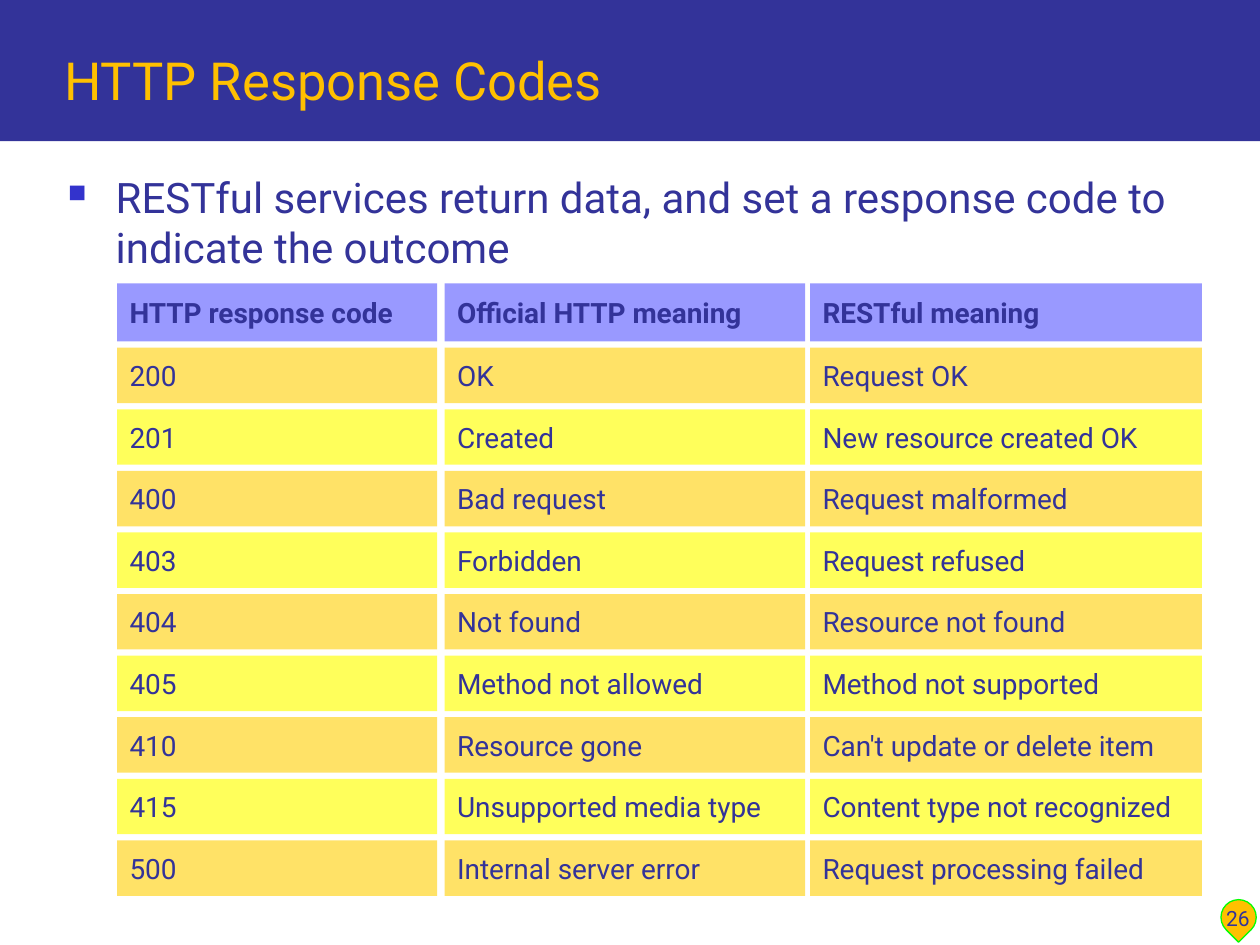
"""Build the HTTP Response Codes slide with its grid of codes and meanings."""
import pptx
import pptx.dml.color
import pptx.enum.shapes
import pptx.enum.text
import pptx.oxml
import pptx.oxml.ns
import pptx.util

Inches = pptx.util.Inches
SHAPES = pptx.enum.shapes.MSO_SHAPE
ALIGN = pptx.enum.text.PP_ALIGN
ANCHOR = pptx.enum.text.MSO_ANCHOR
NAVY, GOLD = "333399", "FFC000"


def paint(target, colour):
    """Give a fill or a font a solid colour from a hex string."""
    if hasattr(target, "solid"):
        target.solid()
    colour_format = target.fore_color if hasattr(target, "fore_color") else target.color
    colour_format.rgb = pptx.dml.color.RGBColor.from_string(colour)


def write(shape, text, size, colour=NAVY, anchor=ANCHOR.MIDDLE, align=ALIGN.LEFT, bold=False):
    """Set the text of a shape and return its paragraph."""
    frame = shape.text_frame
    frame.text = text
    frame.word_wrap = True
    frame.auto_size = pptx.enum.text.MSO_AUTO_SIZE.NONE
    frame.vertical_anchor = anchor
    paragraph = frame.paragraphs[0]
    paragraph.alignment = align
    paragraph.font.name = "Roboto"
    paragraph.font.size = pptx.util.Pt(size)
    paragraph.font.bold = bold
    paint(paragraph.font, colour)
    return paragraph


presentation = pptx.Presentation()
presentation.slide_width, presentation.slide_height = Inches(10), Inches(7.5)
slide = presentation.slides.add_slide(presentation.slide_layouts[5])
shapes = slide.shapes

banner = shapes.add_shape(SHAPES.RECTANGLE, 0, 0, presentation.slide_width, Inches(1.12))
banner.shadow.inherit = False
paint(banner.fill, NAVY)
banner.line.fill.background()
shapes.title._element.addprevious(banner._element)

title = shapes.title
title.left, title.top, title.width, title.height = map(Inches, (0.41, 0.17, 9.35, 0.76))
write(title, "HTTP Response Codes", 30, GOLD, ANCHOR.BOTTOM)

page_marker = shapes.add_shape(SHAPES.TEAR, *map(Inches, (9.69, 7.14, 0.28, 0.28)))
page_marker.rotation = 135
page_marker.shadow.inherit = False
paint(page_marker.fill, GOLD)
paint(page_marker.line.fill, "00FF00")
page_marker.line.width = pptx.util.Pt(0.75)

page_number = shapes.add_textbox(*map(Inches, (9.54, 6.94, 0.57, 0.5)))
write(page_number, "26", 12, anchor=ANCHOR.BOTTOM, align=ALIGN.CENTER)

body = shapes.add_textbox(*map(Inches, (0.44, 1.31, 9.28, 0.9)))
paragraph = write(
    body,
    "RESTful services return data, and set a response code to indicate the outcome",
    24,
    anchor=ANCHOR.TOP,
)
properties = paragraph._p.get_or_add_pPr()
properties.set("marL", str(Inches(0.38)))
properties.set("indent", str(-Inches(0.38)))
bullet_parts = (
    '<a:buClr {}><a:srgbClr val="3333CC"/></a:buClr>',
    '<a:buSzPct {} val="60000"/>',
    '<a:buChar {} char="■"/>',
)
for position, part in enumerate(bullet_parts):
    element = pptx.oxml.parse_xml(part.format(pptx.oxml.ns.nsdecls("a")))
    properties.insert(position, element)

rows = [
    ("HTTP response code", "Official HTTP meaning", "RESTful meaning"),
    ("200", "OK", "Request OK"),
    ("201", "Created", "New resource created OK"),
    ("400", "Bad request", "Request malformed"),
    ("403", "Forbidden", "Request refused"),
    ("404", "Not found", "Resource not found"),
    ("405", "Method not allowed", "Method not supported"),
    ("410", "Resource gone", "Can't update or delete item"),
    ("415", "Unsupported media type", "Content type not recognized"),
    ("500", "Internal server error", "Request processing failed"),
]
columns = [(0.93, 2.54), (3.53, 2.86), (6.43, 3.11)]
first_top, last_top = 2.76, 6.67
row_pitch = (last_top - first_top) / (len(rows) - 2)

for row, texts in enumerate(rows):
    header = row == 0
    top = 2.25 if header else first_top + (row - 1) * row_pitch
    height = 0.46 if header else 0.44
    colour = "9999FF" if header else ("FFFF5B", "FFE267")[row % 2]
    for (left, width), text in zip(columns, texts):
        cell = shapes.add_shape(SHAPES.RECTANGLE, *map(Inches, (left, top, width, height)))
        cell.shadow.inherit = False
        paint(cell.fill, colour)
        cell.line.fill.background()
        write(cell, text, 16, bold=header)

presentation.save("out.pptx")
